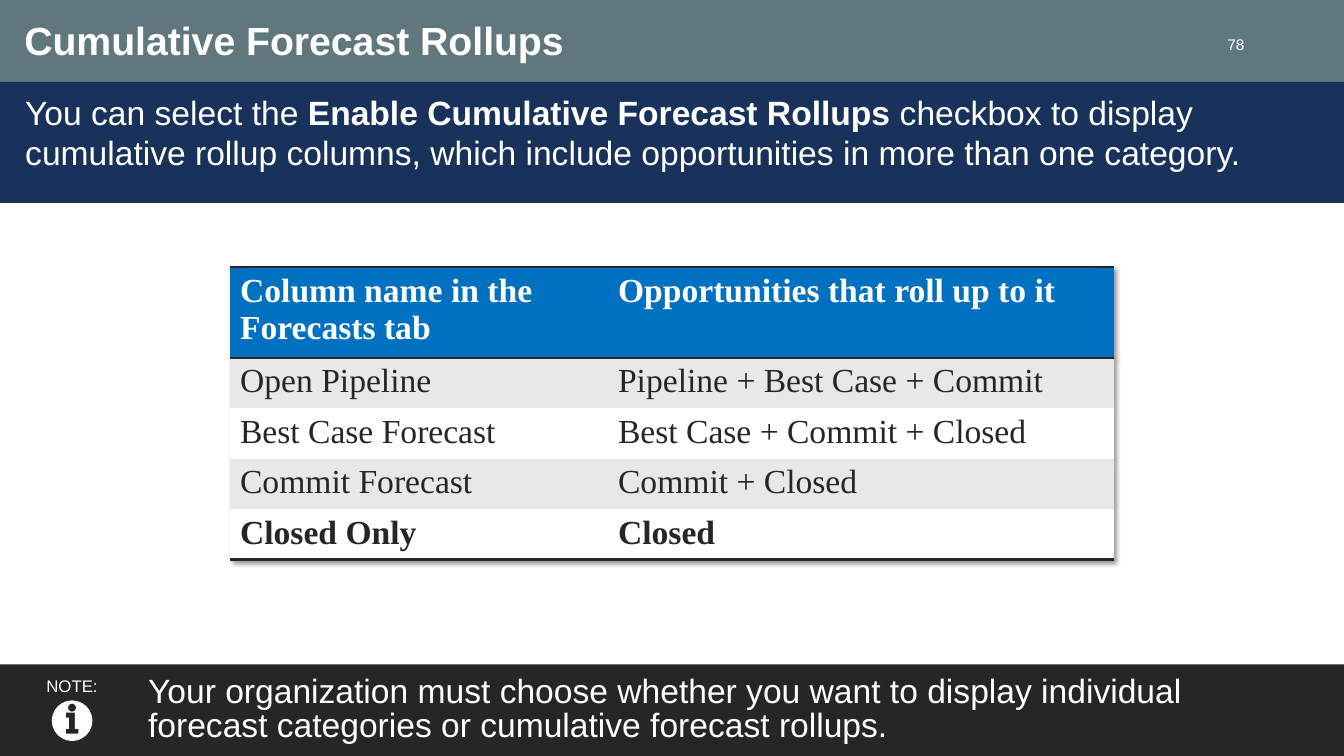
from dataclasses import dataclass

from lxml import etree
from pptx import Presentation
from pptx.dml.color import RGBColor
from pptx.enum import shapes, text
from pptx.oxml import ns
from pptx.util import Pt


@dataclass(frozen=True)
class Theme:
    white: str = "FFFFFF"
    ink: str = "262626"
    slate: str = "60777E"
    navy: str = "19325C"
    blue: str = "0070C0"
    band: str = "E8E8E8"
    sans: str = "Arial"
    serif: str = "Times New Roman"
    title: float = 28
    body: float = 24
    label: float = 12
    number: float = 11
    rule: float = 2


THEME = Theme()
NO_TABLE_STYLE = "{2D5ABB26-0587-4C30-8999-92F81FD0307C}"
TOP, MIDDLE = text.MSO_ANCHOR.TOP, text.MSO_ANCHOR.MIDDLE
UNITS_PER_POINT = 100
ROLLUPS = [
    ("Column name in the Forecasts tab", "Opportunities that roll up to it"),
    ("Open Pipeline", "Pipeline + Best Case + Commit"),
    ("Best Case Forecast", "Best Case + Commit + Closed"),
    ("Commit Forecast", "Commit + Closed"),
    ("Closed Only", "Closed"),
]


def set_values(target, values):
    for name, value in values.items():
        setattr(target, name, value)


def paint(target, color):
    target.fill.solid()
    target.fill.fore_color.rgb = RGBColor.from_string(color)


def write(frame, runs, size, color=THEME.white, font=THEME.sans, **paragraph_format):
    """Fill a text frame with one paragraph of (words, bold) runs."""
    paragraph = frame.paragraphs[0]
    set_values(paragraph, {"alignment": text.PP_ALIGN.LEFT, **paragraph_format})
    for words, bold in runs:
        run = paragraph.add_run()
        run.text = words
        set_values(run.font, {"name": font, "size": Pt(size), "bold": bold})
        run.font.color.rgb = RGBColor.from_string(color)


def set_frame(frame, margins, anchor):
    sides = ("margin_left", "margin_top", "margin_right", "margin_bottom")
    values = {side: Pt(margin) for side, margin in zip(sides, margins)}
    set_values(frame, {**values, "word_wrap": True, "vertical_anchor": anchor})


def finish(shape, color):
    paint(shape, color)
    shape.line.fill.background()
    shape.shadow.inherit = False


def add_band(slide, top, height, color):
    """Add a bar across the whole slide and return its text frame."""
    shape = slide.shapes.add_shape(
        shapes.MSO_SHAPE.RECTANGLE, 0, Pt(top), Pt(960), Pt(height))
    finish(shape, color)
    return shape.text_frame


def add_text(slide, box, margins, anchor, runs, size, **paragraph_format):
    frame = slide.shapes.add_textbox(*map(Pt, box)).text_frame
    set_frame(frame, margins, anchor)
    write(frame, runs, size, **paragraph_format)


def add_border(cell, tag):
    """Put a rule on one side of a cell, ahead of its fill."""
    line = etree.Element(ns.qn(f"a:{tag}"), w=str(Pt(THEME.rule)))
    fill = etree.SubElement(line, ns.qn("a:solidFill"))
    etree.SubElement(fill, ns.qn("a:srgbClr"), val=THEME.ink)
    properties = cell._tc.get_or_add_tcPr()
    fill_at = properties.index(properties.find(ns.qn("a:solidFill")))
    properties.insert(fill_at, line)


def add_table_shadow(properties):
    effects = etree.Element(ns.qn("a:effectLst"))
    shadow = etree.SubElement(
        effects, ns.qn("a:outerShdw"), blurRad=str(Pt(3)), dist=str(Pt(3)),
        dir="2700000", algn="tl", rotWithShape="0")
    color = etree.SubElement(shadow, ns.qn("a:srgbClr"), val="000000")
    etree.SubElement(color, ns.qn("a:alpha"), val="40000")
    properties.insert(0, effects)


def add_rollup_table(slide):
    """Add the table; its rows grow to fit their text."""
    last = len(ROLLUPS) - 1
    graphic = slide.shapes.add_table(
        len(ROLLUPS), 2, Pt(164.3), Pt(190.8), Pt(631.5), Pt(208.8))
    table = graphic.table
    properties = table._tbl.tblPr
    properties.find(ns.qn("a:tableStyleId")).text = NO_TABLE_STYLE
    add_table_shadow(properties)
    for column, width in zip(table.columns, (270, 361.5)):
        column.width = Pt(width)
    for index, labels in enumerate(ROLLUPS):
        header = index == 0
        table.rows[index].height = Pt(0 if header else 29.5)
        fill = THEME.blue if header else THEME.band if index % 2 else THEME.white
        color = THEME.white if header else THEME.ink
        borders = ("lnT", "lnB") if header else ("lnB",) if index == last else ()
        for cell, label in zip(table.rows[index].cells, labels):
            paint(cell, fill)
            write(cell.text_frame, [(label, index in (0, last))], THEME.body,
                  color, THEME.serif)
            for tag in borders:
                add_border(cell, tag)
    graphic.height = Pt(208.8)


def diamond(x, y, radius):
    """Return the four extreme points of a circle, from the right one."""
    return [(x + radius, y), (x, y + radius), (x - radius, y), (x, y - radius)]


def round_contours(shape, radii):
    """Turn the first contours of a freeform into full circles."""
    outline = shape._element.spPr.find(f".//{ns.qn('a:path')}")
    starts = outline.findall(ns.qn("a:moveTo"))
    for start, radius in zip(starts, radii):
        while start.getnext().tag == ns.qn("a:lnTo"):
            outline.remove(start.getnext())
        reach = str(round(radius * UNITS_PER_POINT))
        start.addnext(etree.Element(
            ns.qn("a:arcTo"), wR=reach, hR=reach, stAng="0", swAng="21600000"))


def add_info_icon(slide, x, y):
    """Add a disc with the letter i cut out of it, centred on x, y."""
    disc, dot = 14.5, 2.9
    stem = [(-4.5, -5.8), (2, -5.8), (2, 5.8), (4.5, 5.8), (4.5, 9.3),
            (-4.5, 9.3), (-4.5, 5.8), (-2.2, 5.8), (-2.2, -2.2), (-4.5, -2.2)]
    contours = [diamond(x, y, disc), diamond(x, y - 9.3, dot),
                [(x + across, y + down) for across, down in stem]]
    contours = [[(across * UNITS_PER_POINT, down * UNITS_PER_POINT)
                 for across, down in contour] for contour in contours]
    builder = slide.shapes.build_freeform(
        *contours[0][0], scale=Pt(1) / UNITS_PER_POINT)
    for number, contour in enumerate(contours):
        if number:
            builder.move_to(*contour[0])
        builder.add_line_segments(contour[1:], close=True)
    icon = builder.convert_to_shape()
    round_contours(icon, (disc, dot))
    finish(icon, THEME.white)


def main():
    presentation = Presentation()
    set_values(presentation, {"slide_width": Pt(960), "slide_height": Pt(540)})
    slide = presentation.slides.add_slide(presentation.slide_layouts[6])

    add_band(slide, 0, 60, THEME.slate)
    intro = add_band(slide, 58.5, 86.5, THEME.navy)
    set_frame(intro, (18, 7.2, 18, 7.2), TOP)
    write(intro, [
        ("You can select the ", False),
        ("Enable Cumulative Forecast Rollups", True),
        (" checkbox to display cumulative rollup columns, which include "
         "opportunities in more than one category.", False),
    ], THEME.body)
    add_text(slide, (10.3, 0, 845, 59), (7.2, 7.2, 7.2, 3.6), MIDDLE,
             [("Cumulative Forecast Rollups", True)], THEME.title, line_spacing=0.85)
    add_text(slide, (858, 24, 38, 16), (7.2, 0, 7.2, 0), MIDDLE,
             [("78", False)], THEME.number, alignment=text.PP_ALIGN.RIGHT)

    add_rollup_table(slide)

    note = add_band(slide, 474.5, 65.5, THEME.ink)
    set_frame(note, (105.8, 3.6, 36, 3.6), MIDDLE)
    write(note, [("Your organization must choose whether you want to display "
                  "individual forecast categories or cumulative forecast rollups.",
                  False)], THEME.body, line_spacing=0.85)
    add_text(slide, (0, 479.2, 103, 21.5), (7.2, 3.6, 7.2, 3.6), TOP,
             [("NOTE:", False)], THEME.label, alignment=text.PP_ALIGN.CENTER)
    add_info_icon(slide, 51.5, 514.8)

    presentation.save("out.pptx")


if __name__ == "__main__":
    main()
